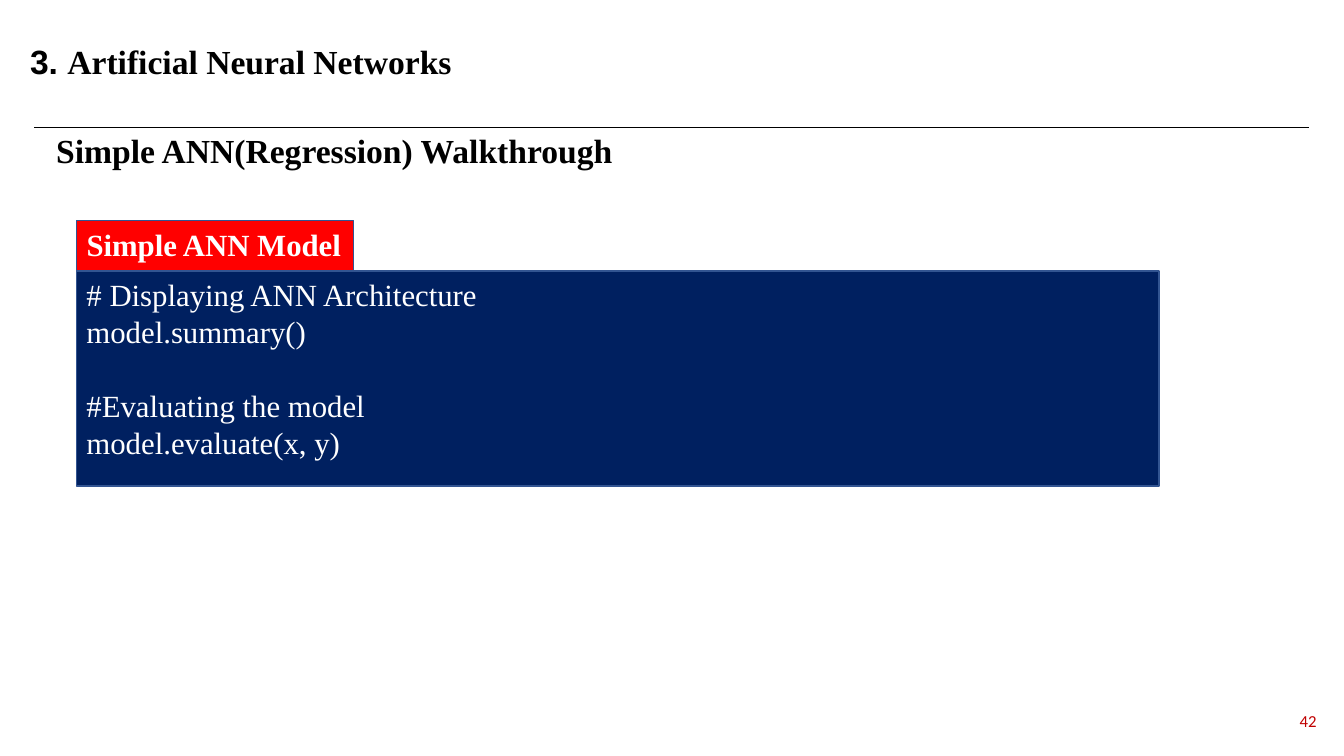
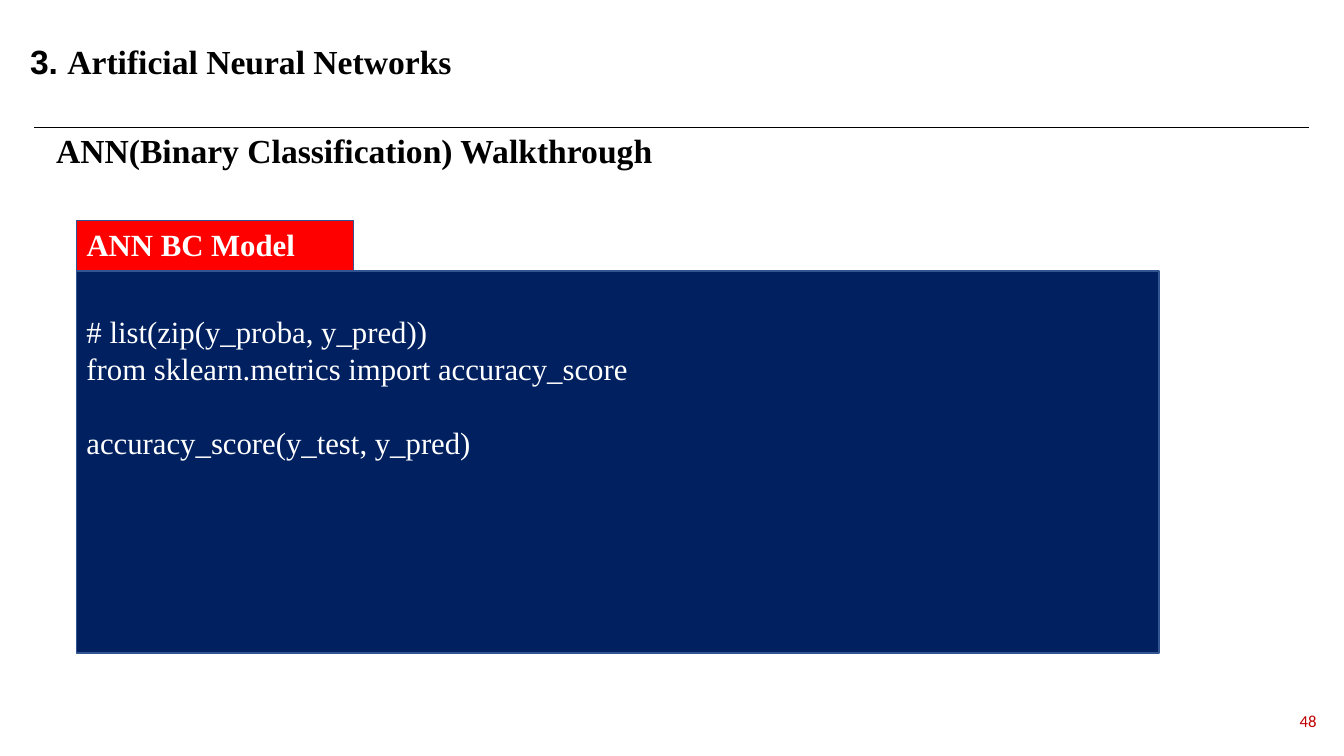
from dataclasses import dataclass

from pptx import Presentation
from pptx.dml.color import RGBColor
from pptx.enum.shapes import MSO_CONNECTOR, MSO_SHAPE
from pptx.enum.text import MSO_ANCHOR, PP_ALIGN
from pptx.oxml.ns import qn
from pptx.util import Pt
from lxml import etree

RECT = MSO_SHAPE.RECTANGLE
STRAIGHT = MSO_CONNECTOR.STRAIGHT
TOP, MIDDLE = MSO_ANCHOR.TOP, MSO_ANCHOR.MIDDLE
LEFT, RIGHT = PP_ALIGN.LEFT, PP_ALIGN.RIGHT


@dataclass(frozen=True)
class Theme:
    """Colours, fonts and type sizes shared by the slides."""
    black: str = "000000"
    white: str = "FFFFFF"
    navy: str = "002060"
    red: str = "FF0000"
    outline: str = "325491"
    number: str = "C00000"
    serif: str = "Times New Roman"
    sans: str = "Arial"
    footer: str = "Calibri"
    heading_size: int = 24
    code_size: int = 22
    number_size: int = 12


THEME = Theme()
BLANK_LINE = 26.4
PANEL_LEFT, PANEL_TOP, PANEL_WIDTH = 54.7, 193.7, 773.3
TAB_WIDTH, TAB_HEIGHT = 198, 36

SLIDES = [
    dict(number="42", subtitle="Simple ANN(Regression) Walkthrough",
         label="Simple ANN Model", height=153.4,
         code=["# Displaying ANN Architecture", "model.summary()", "",
               "#Evaluating the model", "model.evaluate(x, y)"]),
    dict(number="48", subtitle="ANN(Binary Classification) Walkthrough",
         label="ANN BC Model", height=272.9,
         code=["", "# list(zip(y_proba, y_pred))",
               "from sklearn.metrics import accuracy_score", "",
               "accuracy_score(y_test, y_pred)"]),
]


def add_run(p, text, font=THEME.serif, size=THEME.heading_size,
            color=THEME.black, bold=False):
    """Add a formatted run to a paragraph."""
    r = p.add_run()
    r.text = text
    r.font.name = font
    r.font.size = Pt(size)
    r.font.bold = bold
    r.font.color.rgb = RGBColor.from_string(color)


def write_lines(tf, lines, align=LEFT, anchor=TOP, wrap=True, **fmt):
    """Write lines as paragraphs, turning each empty line into spacing."""
    tf.word_wrap = wrap
    tf.vertical_anchor = anchor
    p, gap = None, 0
    for line in lines:
        if not line:
            gap += BLANK_LINE
            continue
        if p is None:
            p = tf.paragraphs[0]
            tf.margin_top += Pt(gap)
        else:
            p = tf.add_paragraph()
            p.space_before = Pt(gap)
        p.alignment = align
        add_run(p, line, **fmt)
        gap = 0


def add_text(s, lines, left, top, width, height, **fmt):
    """Add a text box and return its text frame."""
    tf = s.shapes.add_textbox(Pt(left), Pt(top), Pt(width), Pt(height)).text_frame
    write_lines(tf, lines, **fmt)
    return tf


def add_block(s, lines, top, width, height, fill, bold=False):
    """Add an outlined rectangle holding white text."""
    sp = s.shapes.add_shape(RECT, Pt(PANEL_LEFT), Pt(top), Pt(width), Pt(height))
    sp.shadow.inherit = False
    sp.fill.solid()
    sp.fill.fore_color.rgb = RGBColor.from_string(fill)
    sp.line.color.rgb = RGBColor.from_string(THEME.outline)
    sp.line.width = Pt(1)
    write_lines(sp.text_frame, lines, size=THEME.code_size,
                color=THEME.white, bold=bold)


def add_rule(s, left, right, y):
    """Add the thin horizontal rule below the title."""
    line = s.shapes.add_connector(STRAIGHT, Pt(left), Pt(y), Pt(right), Pt(y))
    line.line.color.rgb = RGBColor.from_string(THEME.black)
    line.line.width = Pt(0.5)
    etree.SubElement(line._element.spPr, qn("a:effectLst"))


def add_frame(s, number, subtitle):
    """Add the page number, title, rule and subtitle."""
    add_text(s, [number], 906.5, 500.4, 41, 28.8, align=RIGHT, anchor=MIDDLE,
             font=THEME.footer, size=THEME.number_size, color=THEME.number)
    tf = add_text(s, ["3. "], 14.4, 25.9, 319, 36, wrap=False,
                  font=THEME.sans, bold=True)
    add_run(tf.paragraphs[0], "Artificial Neural Networks", bold=True)
    add_rule(s, 24.5, 935.3, 90.7)
    add_text(s, [subtitle], 33, 89.3, 903.7, 36, bold=True)


def add_code_panel(s, label, code, height):
    """Add a code panel with its label tab on top."""
    add_block(s, code, PANEL_TOP, PANEL_WIDTH, height, THEME.navy)
    add_block(s, [label], PANEL_TOP - TAB_HEIGHT, TAB_WIDTH, TAB_HEIGHT,
              THEME.red, bold=True)


def main():
    """Build and save the presentation."""
    prs = Presentation()
    prs.slide_width, prs.slide_height = Pt(960), Pt(540)
    for page in SLIDES:
        s = prs.slides.add_slide(prs.slide_layouts[6])
        add_frame(s, page["number"], page["subtitle"])
        add_code_panel(s, page["label"], page["code"], page["height"])
    prs.save("out.pptx")


if __name__ == "__main__":
    main()
